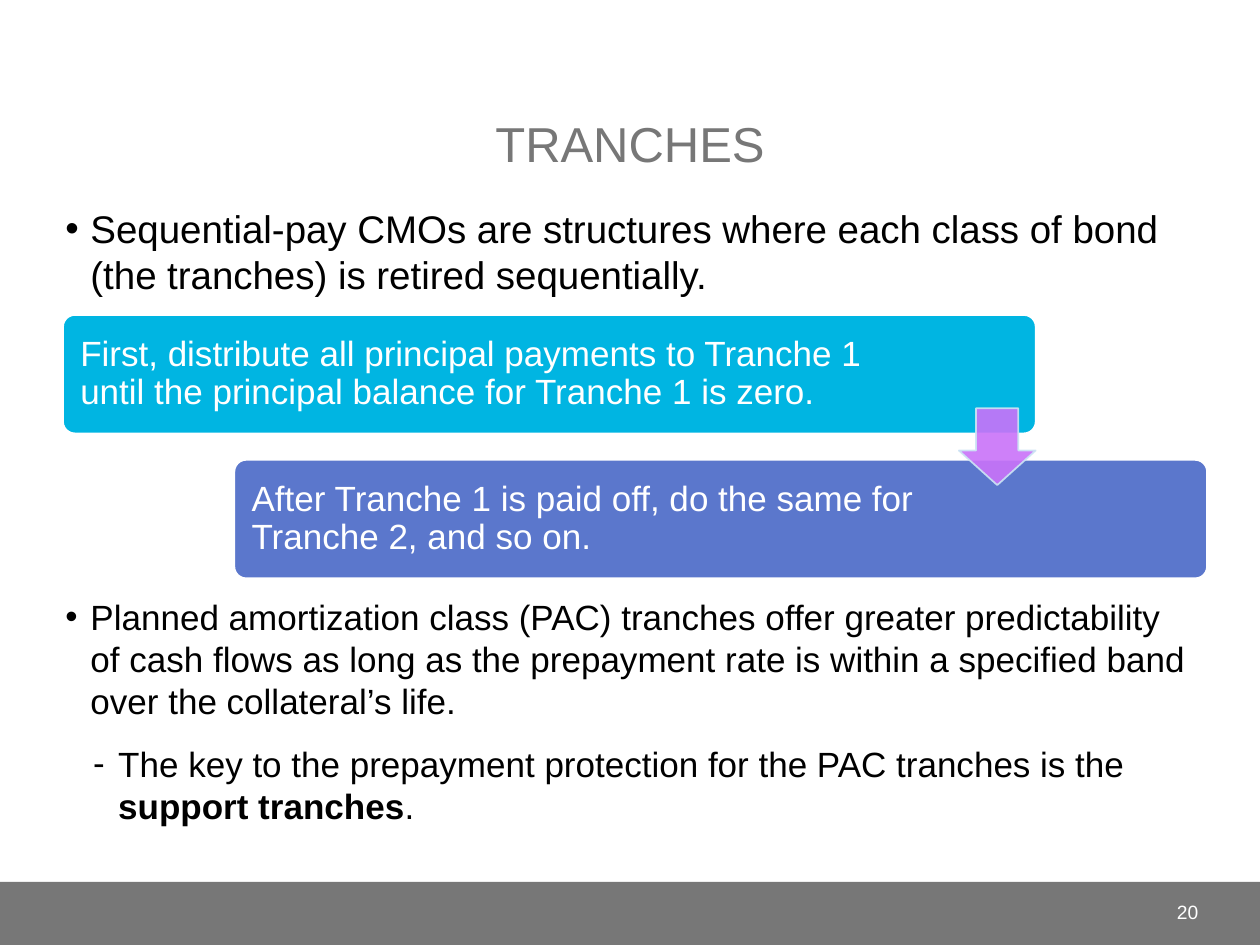
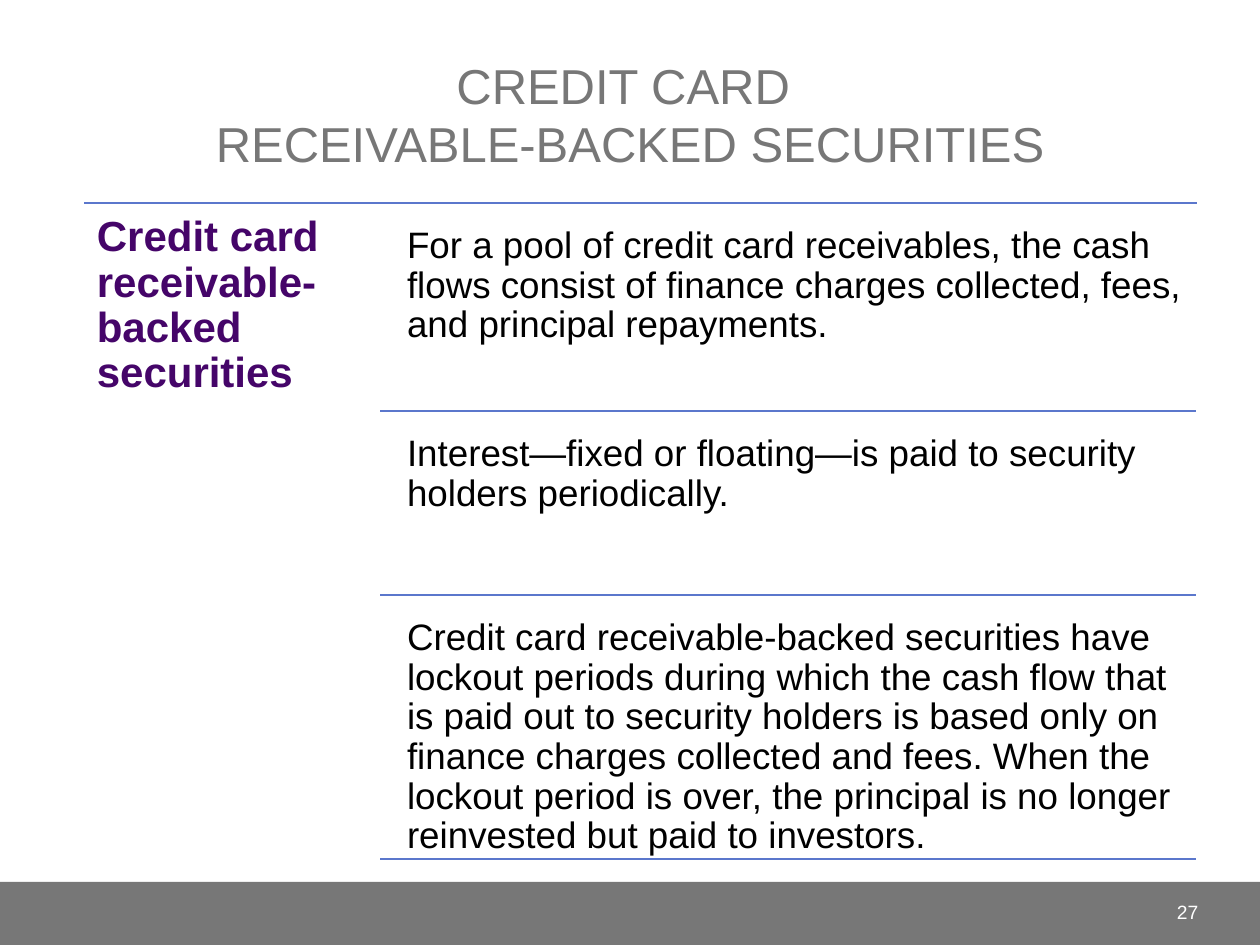
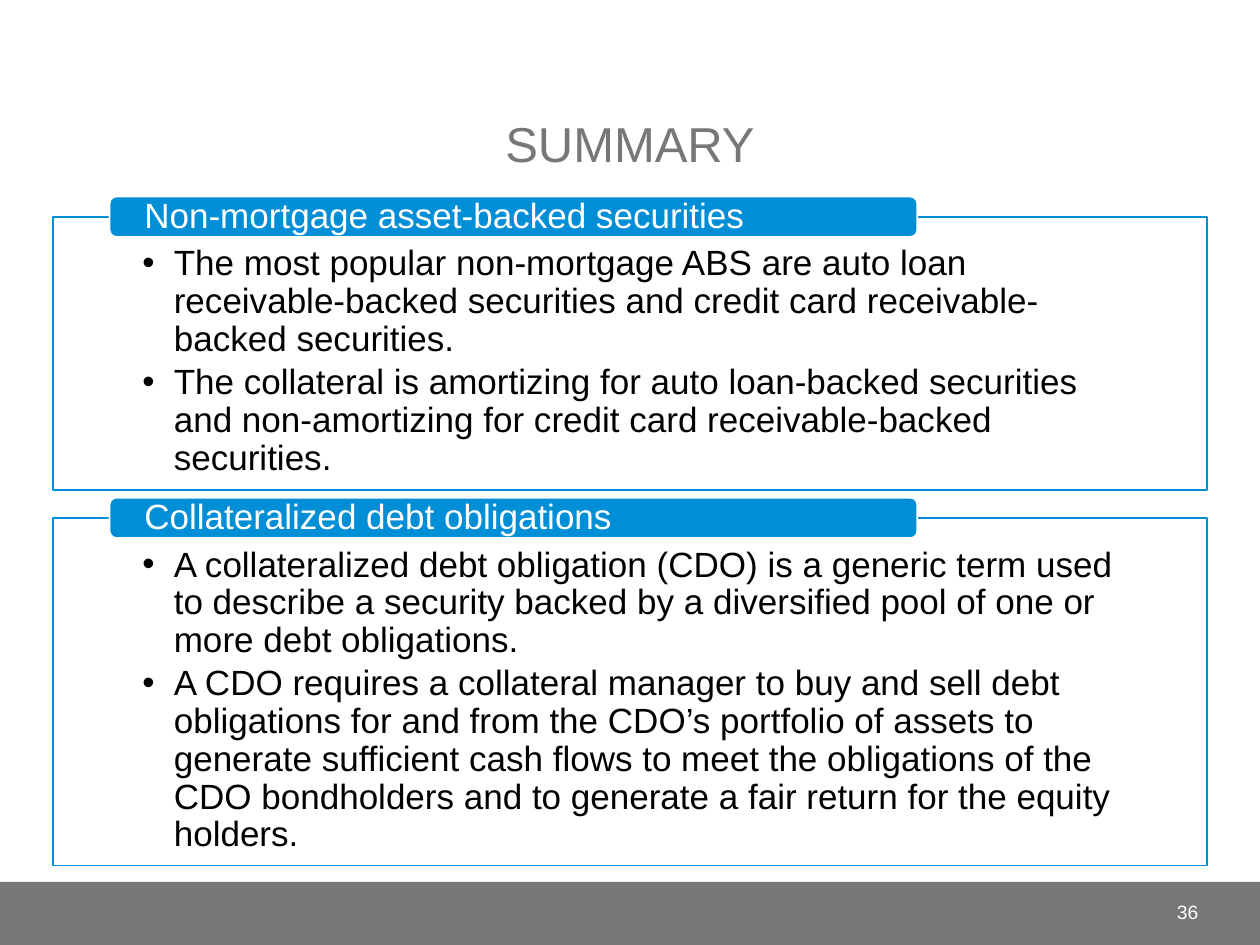
from lxml import etree
from pptx import Presentation
from pptx.dml.color import RGBColor as Rgb
from pptx.enum.shapes import MSO_CONNECTOR as Conn, MSO_SHAPE as Kind
from pptx.enum.text import MSO_ANCHOR as Anchor, PP_ALIGN as Align
from pptx.oxml.ns import qn
from pptx.util import Inches, Pt

FONT = "Arial"
HUES = {
    "gray": "777777", "white": "FFFFFF", "black": "000000",
    "cyan": "00B5E2", "indigo": "5B77CC", "blue": "008ED6",
    "violet": "C973F9", "pale": "CCE5F4", "plum": "450569",
}
LEFT, WIDTH = 0.42, 9.16


def hue(name):
    return Rgb.from_string(HUES[name])


def fade(fill, percent):
    """Set the opacity of every solid colour below an element."""
    for color in fill.iter(qn("a:srgbClr")):
        etree.SubElement(color, qn("a:alpha"), val=str(percent * 1000))


def style(par, size, color, bold=False):
    for run in par.runs:
        font = run.font
        font.name, font.size, font.bold = FONT, Pt(size), bold
        font.color.rgb = hue(color)


def bullet(par, mark, margin, hang):
    props = par._p.get_or_add_pPr()
    props.set("marL", str(Inches(margin)))
    props.set("indent", str(-Inches(hang)))
    etree.SubElement(props, qn("a:buFont"), typeface=FONT)
    etree.SubElement(props, qn("a:buChar"), char=mark)


def write(shape, texts, size, color, anchor=Anchor.TOP, align=Align.LEFT,
          inset=(0.1, 0.05, 0.1, 0.05), pitch=None, bold=False):
    """Fill a shape with paragraphs; insets are left, top, right, bottom."""
    frame = shape.text_frame
    frame.word_wrap, frame.vertical_anchor = True, anchor
    (frame.margin_left, frame.margin_top,
     frame.margin_right, frame.margin_bottom) = map(Inches, inset)
    for i, text in enumerate(texts):
        par = frame.add_paragraph() if i else frame.paragraphs[0]
        par.text, par.alignment = text, align
        if pitch:
            par.line_spacing = pitch
        style(par, size, color, bold)
    return frame.paragraphs


def label(slide, at, texts, size, color, **opts):
    box = slide.shapes.add_textbox(*map(Inches, at))
    return write(box, texts, size, color, **opts)


def block(slide, kind, at, fill, edge=None):
    shape = slide.shapes.add_shape(kind, *map(Inches, at))
    shape.shadow.inherit = False
    shape.fill.solid()
    shape.fill.fore_color.rgb = hue(fill)
    if edge:
        shape.line.color.rgb = hue(edge)
        shape.line.width = Pt(1)
    else:
        shape.line.fill.background()
    return shape


def rule(slide, left, right, top):
    line = slide.shapes.add_connector(
        Conn.STRAIGHT, *map(Inches, (left, top, right, top)))
    line.line.color.rgb = hue("indigo")
    line.line.width = Pt(1)
    etree.SubElement(line._element.spPr, qn("a:effectLst"))


def page(deck, title, number):
    """Start a slide with the shared band, title and page number."""
    slide = deck.slides.add_slide(deck.slide_layouts[6])
    block(slide, Kind.RECTANGLE, (0, 7, 10, 0.5), "gray")
    label(slide, (LEFT, 0.17, WIDTH, 1.25), [title], 28, "gray",
          anchor=Anchor.BOTTOM, align=Align.CENTER)
    label(slide, (8.75, 7.04, 0.86, 0.4), [str(number)], 11, "white",
          anchor=Anchor.MIDDLE, align=Align.RIGHT)
    return slide


def step(slide, left, top, fill, text, right):
    box = block(slide, Kind.ROUNDED_RECTANGLE, (left, top, 7.72, 0.94),
                fill, "white")
    box.adjustments[0] = 0.1
    write(box, [text], 20, "white", anchor=Anchor.MIDDLE, pitch=0.9,
          inset=(0.11, 0.11, right, 0.11))


def panel(slide, top, height, head, points):
    """Draw a framed list with a heading tab over its top edge."""
    frame = block(slide, Kind.RECTANGLE, (LEFT, top, WIDTH, height),
                  "white", "blue")
    for par in write(frame, points, 20, "black", pitch=0.9,
                     inset=(0.71, 0.23, 0.71, 0.16)):
        bullet(par, "•", 0.25, 0.25)
        par.space_after = Pt(3)
    tab = block(slide, Kind.ROUNDED_RECTANGLE, (0.87, top - 0.16, 6.41, 0.32),
                "blue", "white")
    write(tab, [head], 20, "white", anchor=Anchor.MIDDLE, pitch=0.9,
          inset=(0.26, 0, 0.26, 0))


def tranches(deck):
    slide = page(deck, "TRANCHES", 20)
    # Opening point
    intro = label(slide, (LEFT, 1.58, WIDTH, 0.9), [
        "Sequential-pay CMOs are structures where each class of bond "
        "(the tranches) is retired sequentially."], 22, "black")
    bullet(intro[0], "•", 0.2, 0.2)

    # Payment steps
    step(slide, 0.5, 2.5, "cyan",
         "First, distribute all principal payments to Tranche 1 until the "
         "principal balance for Tranche 1 is zero.", 1.02)
    step(slide, 1.86, 3.65, "indigo",
         "After Tranche 1 is paid off, do the same for Tranche 2, "
         "and so on.", 2.08)
    arrow = block(slide, Kind.DOWN_ARROW, (7.61, 3.24, 0.61, 0.61),
                  "violet", "pale")
    arrow.adjustments[0], arrow.adjustments[1] = 0.55, 0.45
    fade(arrow._element.spPr, 90)

    # Closing points
    main_par, sub = label(slide, (LEFT, 4.68, WIDTH, 2.07), [
        "Planned amortization class (PAC) tranches offer greater "
        "predictability of cash flows as long as the prepayment rate is "
        "within a specified band over the collateral’s life.",
        "The key to the prepayment protection for the PAC tranches is the ",
    ], 20, "black")
    bullet(main_par, "•", 0.2, 0.2)
    bullet(sub, "-", 0.42, 0.2)
    main_par.space_after = sub.space_before = Pt(6)
    for text in ("support tranches", "."):
        sub.add_run().text = text
    style(sub, 20, "black")
    sub.runs[1].font.bold = True


def cards(deck):
    slide = page(deck, "CREDIT CARD \vRECEIVABLE-BACKED SECURITIES", 27)
    # Topic column
    top = 1.61
    rule(slide, 0.67, 9.5, top)
    label(slide, (0.67, top, 2.35, 5.31),
          ["Credit card receivable-backed securities"], 24, "plum",
          bold=True, pitch=0.9, inset=(0.1,) * 4)

    # Ruled rows
    rows = [
        (3.26, "For a pool of credit card receivables, the cash flows consist "
               "of finance charges collected, fees, and principal "
               "repayments."),
        (4.72, "Interest—fixed or floating—is paid to security holders "
               "periodically."),
        (6.82, "Credit card receivable-backed securities have lockout periods "
               "during which the cash flow that is paid out to security "
               "holders is based only on finance charges collected and fees. "
               "When the lockout period is over, the principal is no longer "
               "reinvested but paid to investors."),
    ]
    for end, text in rows:
        label(slide, (3.14, top + 0.1, 6.35, end - top - 0.1), [text], 21,
              "black", pitch=0.9, inset=(0.09,) * 4)
        rule(slide, 3.02, 9.49, end)
        top = end


def summary(deck):
    slide = page(deck, "SUMMARY", 36)
    panel(slide, 1.72, 2.17, "Non-mortgage asset-backed securities", [
        "The most popular non-mortgage ABS are auto loan receivable-backed "
        "securities and credit card receivable-backed securities.",
        "The collateral is amortizing for auto loan-backed securities and "
        "non-amortizing for credit card receivable-backed securities.",
    ])
    panel(slide, 4.11, 2.76, "Collateralized debt obligations", [
        "A collateralized debt obligation (CDO) is a generic term used to "
        "describe a security backed by a diversified pool of one or more "
        "debt obligations.",
        "A CDO requires a collateral manager to buy and sell debt "
        "obligations for and from the CDO’s portfolio of assets to generate "
        "sufficient cash flows to meet the obligations of the CDO "
        "bondholders and to generate a fair return for the equity holders.",
    ])


def main():
    deck = Presentation()
    deck.slide_width, deck.slide_height = Inches(10), Inches(7.5)
    tranches(deck)
    cards(deck)
    summary(deck)
    deck.save("out.pptx")


if __name__ == "__main__":
    main()
